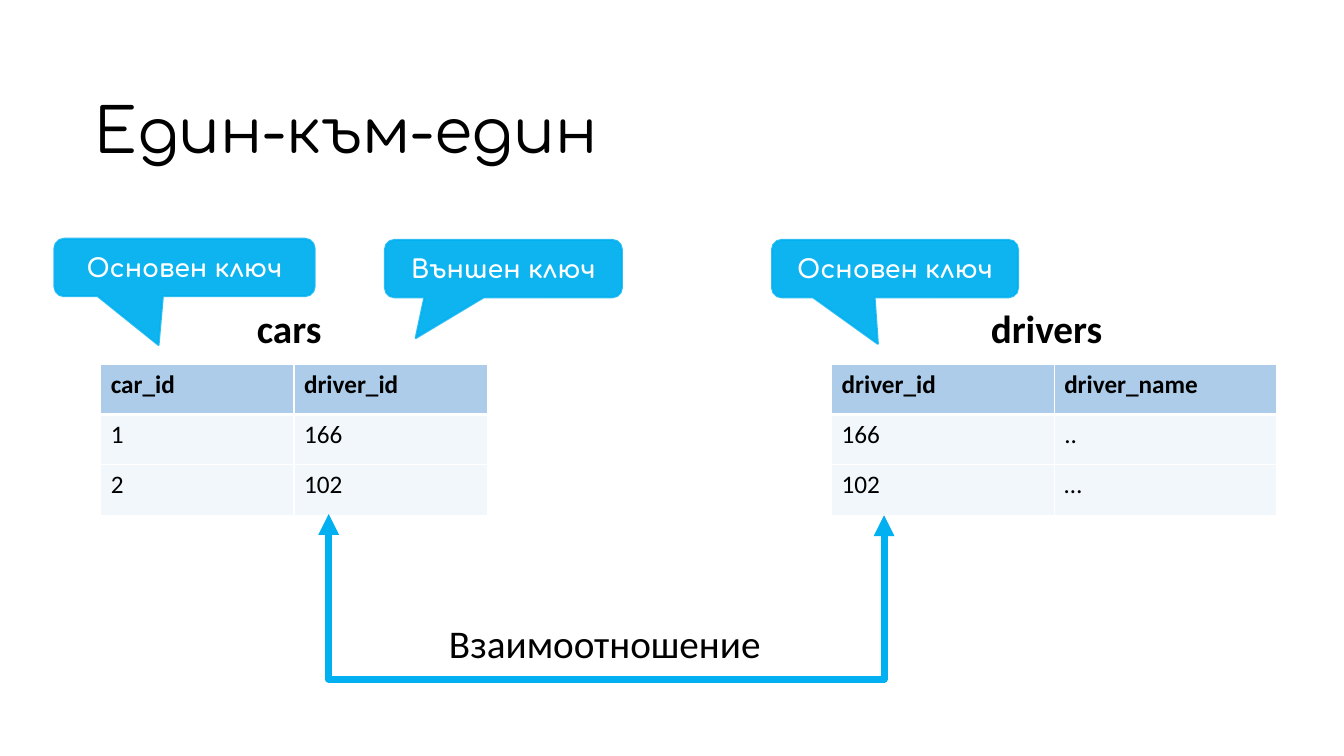
from pptx import Presentation
from pptx.dml.color import RGBColor
from pptx.enum.shapes import MSO_CONNECTOR, MSO_SHAPE
from pptx.enum.text import MSO_ANCHOR, PP_ALIGN
from pptx.oxml.ns import qn
from pptx.util import Pt
from lxml.etree import SubElement, Element

BLACK = RGBColor(0, 0, 0)
WHITE = RGBColor(255, 255, 255)
SKY = RGBColor(0x00, 0xB0, 0xF0)
HEADER_BLUE = RGBColor(0x5B, 0x9B, 0xD5)
ROW_BLUE = RGBColor(0xBD, 0xD7, 0xEE)


def set_opacity(element, percent):
    for color in element.iter(qn("a:srgbClr")):
        SubElement(color, qn("a:alpha"), val=str(percent * 1000))


def write_text(frame, text, size, font_name="Calibri", color=BLACK, bold=False):
    frame.text = text
    para = frame.paragraphs[0]
    font = para.runs[0].font
    font.name, font.size, font.bold = font_name, Pt(size), bold
    font.color.rgb = color
    return para


deck = Presentation()
deck.slide_width, deck.slide_height = Pt(960), Pt(540)
page = deck.slides.add_slide(deck.slide_layouts[6])

# Title and labels: text, left, top, width, height, size, font, bold, wrap, alignment
labels = [
    ("Един-към-един", 60.5, 43.2, 846, 104.4, 44, "Comfortaa", False, True, PP_ALIGN.LEFT),
    ("cars", 176.4, 213.8, 61.2, 41, 28, "Calibri", True, False, PP_ALIGN.LEFT),
    ("drivers", 700.6, 213.8, 95, 41, 28, "Calibri", True, False, PP_ALIGN.LEFT),
    ("Взаимоотношение", 306, 438.5, 252, 36.7, 28, "Calibri", False, True, PP_ALIGN.CENTER),
]
for text, left, top, width, height, size, font_name, bold, wrap, alignment in labels:
    box = page.shapes.add_textbox(Pt(left), Pt(top), Pt(width), Pt(height))
    frame = box.text_frame
    frame.word_wrap = wrap
    para = write_text(frame, text, size, font_name, bold=bold)
    para.alignment = alignment
    if size == 44:
        frame.vertical_anchor = MSO_ANCHOR.MIDDLE
        para.line_spacing = 0.9

# Tables: left, column width, rows
tables = [
    (72, 138, [("car_id", "driver_id"), ("1", "166"), ("2", "102")]),
    (594, 159, [("driver_id", "driver_name"), ("166", ".."), ("102", "…")]),
]
for left, column_width, rows in tables:
    table = page.shapes.add_table(
        3, 2, Pt(left), Pt(260), Pt(2 * column_width), Pt(108)).table
    table.horz_banding = False
    for column in table.columns:
        column.width = Pt(column_width)
    for row_index, row in enumerate(rows):
        is_header = row_index == 0
        for column_index, text in enumerate(row):
            cell = table.cell(row_index, column_index)
            write_text(cell.text_frame, text, 18, bold=is_header)
            cell.fill.solid()
            cell.fill.fore_color.rgb = HEADER_BLUE if is_header else ROW_BLUE
            properties = cell._tc.get_or_add_tcPr()
            set_opacity(properties, 50 if is_header else 20)
            thick_side = {0: "lnB", 1: "lnT"}.get(row_index)
            for position, side in enumerate(("lnL", "lnR", "lnT", "lnB")):
                weight = Pt(3 if side == thick_side else 1)
                border = Element(qn("a:" + side), w=str(weight))
                solid = SubElement(border, qn("a:solidFill"))
                SubElement(solid, qn("a:srgbClr"), val=str(WHITE))
                properties.insert(position, border)

# Key callouts: text, left, top, width, pointer x and y
callouts = [
    ("Основен ключ", 38.9, 170.6, 185.8, -0.1, 1.35),
    ("Външен ключ", 275, 171.4, 169.2, -0.37, 1.21),
    ("Основен ключ", 551.5, 171.4, 175.7, -0.07, 1.31),
]
for text, left, top, width, pointer_x, pointer_y in callouts:
    callout = page.shapes.add_shape(
        MSO_SHAPE.ROUNDED_RECTANGULAR_CALLOUT, Pt(left), Pt(top), Pt(width), Pt(41))
    callout.shadow.inherit = False
    callout.adjustments[0], callout.adjustments[1] = pointer_x, pointer_y
    callout.fill.solid()
    callout.fill.fore_color.rgb = SKY
    set_opacity(callout.fill._xPr, 95)
    callout.line.color.rgb = SKY
    callout.line.width = Pt(1.5)
    set_opacity(callout.line._ln, 80)
    callout.text_frame.vertical_anchor = MSO_ANCHOR.MIDDLE
    callout.text_frame.word_wrap = True
    para = write_text(callout.text_frame, text, 18, "Comfortaa", WHITE, True)
    para.alignment = PP_ALIGN.CENTER

# Relationship arrow: an elbow turned a quarter so that it dips below both tables
center_x, center_y, span_width, rise, depth = 433.1, 367.6, 396.7, 0.9, 117
relation = page.shapes.add_connector(
    MSO_CONNECTOR.ELBOW,
    Pt(center_x + rise / 2), Pt(center_y - span_width / 2),
    Pt(center_x - rise / 2), Pt(center_y + span_width / 2))
relation.line.color.rgb = SKY
relation.line.width = Pt(5)
shape_properties = relation._element.spPr
shape_properties.find(qn("a:xfrm")).set("rot", str(270 * 60000))
guides = shape_properties.find(qn("a:prstGeom")).find(qn("a:avLst"))
SubElement(guides, qn("a:gd"), name="adj1", fmla=f"val {round(depth / rise * 100000)}")
for end in ("a:headEnd", "a:tailEnd"):
    SubElement(relation.line._ln, qn(end), type="triangle")
SubElement(shape_properties, qn("a:effectLst"))

deck.save("out.pptx")
